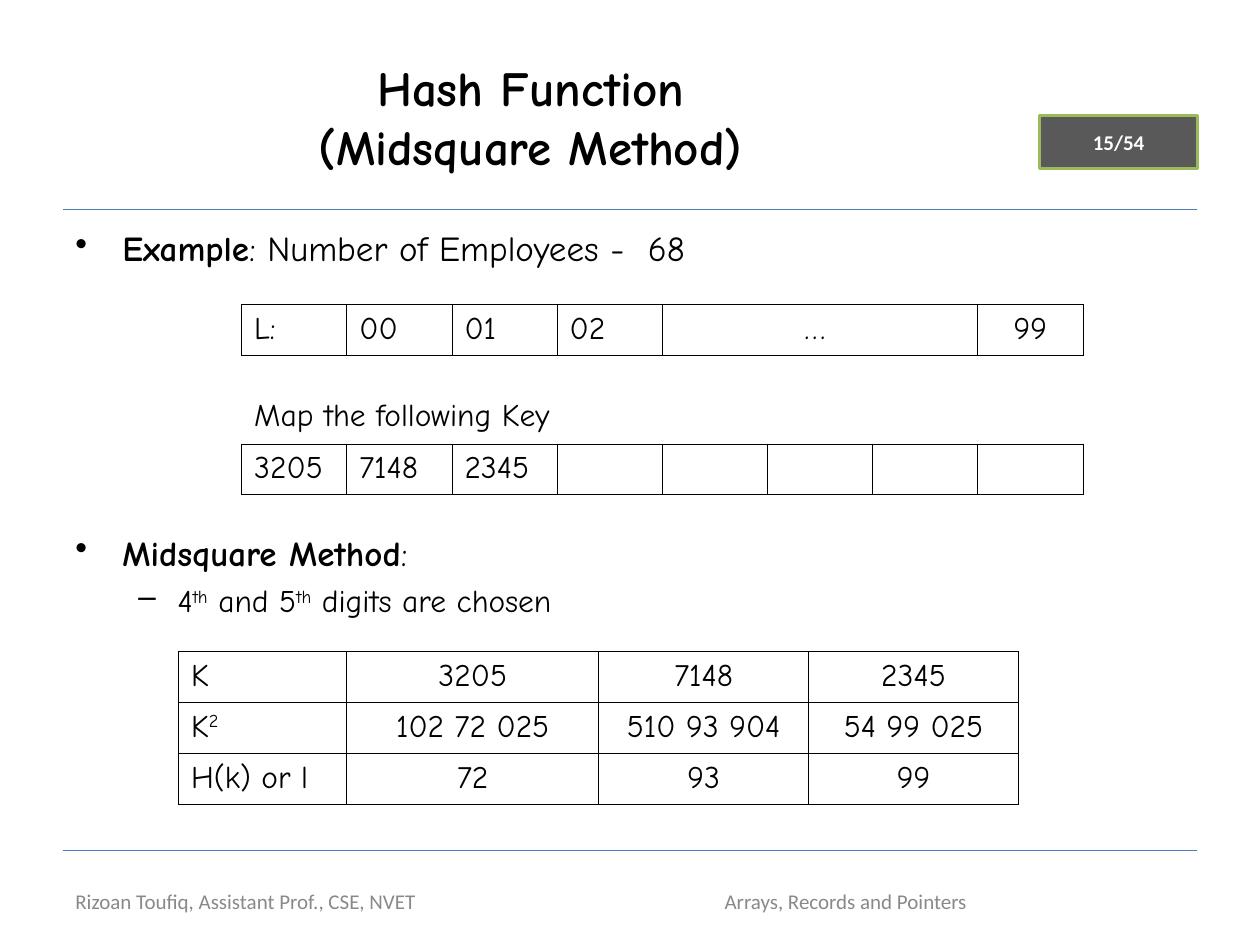
import dataclasses
import typing

import lxml.etree
import pptx
import pptx.dml.color
import pptx.enum.shapes
import pptx.enum.text
import pptx.oxml.ns
import pptx.util

Cm = pptx.util.Cm
Pt = pptx.util.Pt
Align = pptx.enum.text.PP_ALIGN
Anchor = pptx.enum.text.MSO_ANCHOR
qn = pptx.oxml.ns.qn


@dataclasses.dataclass(frozen=True)
class Theme:
    ink: str = "000000"
    paper: str = "FFFFFF"
    grey: str = "898989"
    dark: str = "595959"
    green: str = "9BBB59"
    blue: str = "4A7EBB"
    hand: str = "Comic Neue"
    plain: str = "Calibri"
    head: float = 28
    body: float = 20
    cell: float = 18
    small: float = 12


THEME = Theme()


class Box(typing.NamedTuple):
    left: float
    top: float
    width: float
    height: float

    def sizes(self) -> list:
        return [Cm(side) for side in self]


class Style(typing.NamedTuple):
    size: float
    font: str = THEME.hand
    color: str = THEME.ink
    bold: bool = False


class Bit(typing.NamedTuple):
    text: str
    bold: bool = False
    raised: bool = False


class Point(typing.NamedTuple):
    bits: tuple
    size: float
    mark: str
    indent: float
    hang: float
    before: float
    level: int = 0


class Foot(typing.NamedTuple):
    text: str
    box: Box
    align: typing.Any


class Cell(typing.NamedTuple):
    bits: tuple = ()
    align: typing.Any = Align.CENTER
    span: int = 1
    sides: str = "LRTB"


class Grid(typing.NamedTuple):
    left: float
    top: float
    cols: tuple
    rows: tuple
    cells: tuple


def rgb(code: str):
    return pptx.dml.color.RGBColor.from_string(code)


def write(para, bits: tuple, style: Style) -> None:
    for bit in bits:
        run = para.add_run()
        run.text = bit.text
        font = run.font
        font.name, font.size = style.font, Pt(style.size)
        font.bold = style.bold or bit.bold
        font.color.rgb = rgb(style.color)
        if bit.raised:
            run._r.get_or_add_rPr().set("baseline", "30000")


def rule(slide, top: float) -> None:
    kind = pptx.enum.shapes.MSO_CONNECTOR.STRAIGHT
    line = slide.shapes.add_connector(kind, Cm(1.27), Cm(top), Cm(24.13), Cm(top))
    line.line.color.rgb = rgb(THEME.blue)
    line.line.width = Pt(0.75)
    lxml.etree.SubElement(line._element.spPr, qn("a:effectLst"))


def badge(slide, text: str, box: Box) -> None:
    kind = pptx.enum.shapes.MSO_SHAPE.RECTANGLE
    shape = slide.shapes.add_shape(kind, *box.sizes())
    shape.shadow.inherit = False
    shape.fill.solid()
    shape.fill.fore_color.rgb = rgb(THEME.dark)
    shape.line.color.rgb = rgb(THEME.green)
    shape.line.width = Pt(2)
    frame = shape.text_frame
    frame.vertical_anchor = Anchor.MIDDLE
    para = frame.paragraphs[0]
    para.alignment = Align.CENTER
    write(para, (Bit(text),), Style(THEME.small, THEME.plain, THEME.paper, True))


def title(slide, lines: tuple, box: Box) -> None:
    shape = slide.shapes.title
    shape.left, shape.top, shape.width, shape.height = box.sizes()
    frame = shape.text_frame
    frame.auto_size = pptx.enum.text.MSO_AUTO_SIZE.NONE
    frame.vertical_anchor = Anchor.MIDDLE
    para = frame.paragraphs[0]
    para.alignment = Align.CENTER
    for spot, line in enumerate(lines):
        if spot:
            para.add_line_break()
        write(para, (Bit(line),), Style(THEME.head, bold=True))


def text_frame(slide, box: Box):
    frame = slide.shapes.add_textbox(*box.sizes()).text_frame
    frame.word_wrap = True
    return frame


def bullets(slide, points: tuple, box: Box) -> None:
    frame = text_frame(slide, box)
    for spot, point in enumerate(points):
        para = frame.add_paragraph() if spot else frame.paragraphs[0]
        para.alignment = Align.JUSTIFY
        para.level = point.level
        para.space_before = Pt(point.before)
        props = para._p.get_or_add_pPr()
        props.set("marL", str(Cm(point.indent)))
        props.set("indent", str(-Cm(point.hang)))
        tint = lxml.etree.SubElement(props, qn("a:buClr"))
        lxml.etree.SubElement(tint, qn("a:srgbClr"), val=THEME.ink)
        lxml.etree.SubElement(props, qn("a:buChar"), char=point.mark)
        write(para, point.bits, Style(point.size))


def footer(slide, foot: Foot) -> None:
    frame = text_frame(slide, foot.box)
    frame.vertical_anchor = Anchor.MIDDLE
    para = frame.paragraphs[0]
    para.alignment = foot.align
    write(para, (Bit(foot.text),), Style(THEME.small, THEME.plain, THEME.grey))


def border(cell, sides: str) -> None:
    props = cell._tc.get_or_add_tcPr()
    for side in "LRTB":
        line = lxml.etree.SubElement(props, qn(f"a:ln{side}"), w=str(Pt(0.45)))
        if side in sides:
            fill = lxml.etree.SubElement(line, qn("a:solidFill"))
            lxml.etree.SubElement(fill, qn("a:srgbClr"), val=THEME.ink)
        else:
            lxml.etree.SubElement(line, qn("a:noFill"))
    cell.fill.background()


def table(slide, grid: Grid) -> None:
    box = Box(grid.left, grid.top, sum(grid.cols), sum(grid.rows))
    size = len(grid.rows), len(grid.cols)
    tab = slide.shapes.add_table(*size, *box.sizes()).table
    tab.first_row = tab.horz_banding = False
    for col, width in zip(tab.columns, grid.cols):
        col.width = Cm(width)
    for spot, (height, line) in enumerate(zip(grid.rows, grid.cells)):
        tab.rows[spot].height = Cm(height)
        col = 0
        for item in line:
            last = col + item.span - 1
            for step in range(col, last + 1):
                border(tab.cell(spot, step), item.sides)
            cell = tab.cell(spot, col)
            if item.span > 1:
                cell.merge(tab.cell(spot, last))
            if "L" not in item.sides:
                cell.vertical_anchor = Anchor.BOTTOM
                cell.margin_bottom = Cm(0.2)
            para = cell.text_frame.paragraphs[0]
            para.alignment = item.align
            write(para, item.bits, Style(THEME.cell))
            col = last + 1


def left(*texts: str) -> tuple:
    return tuple(Cell((Bit(text),), Align.LEFT) for text in texts)


def mid(*texts: str) -> tuple:
    return tuple(Cell((Bit(text),)) for text in texts)


def main() -> None:
    """Build the midsquare hashing slide."""
    deck = pptx.Presentation()
    deck.slide_width, deck.slide_height = Cm(25.4), Cm(19.05)
    slide = deck.slides.add_slide(deck.slide_layouts[5])
    for top in (4.23, 17.14):
        rule(slide, top)
    badge(slide, "15/54", Box(20.96, 2.33, 3.18, 1.07))
    title(slide, ("Hash Function", "(Midsquare Method)"), Box(1.27, 0.76, 18.85, 3.18))
    chosen = (Bit("4"), Bit("th", raised=True), Bit(" and 5"),
              Bit("th", raised=True), Bit(" digits are chosen"))
    bullets(slide, (
        Point((Bit("Example", True), Bit(": Number of Employees -  68")), THEME.body, "•", 0.95, 0.95, 5),
        Point((Bit("Midsquare Method", True), Bit(": ")), THEME.body, "•", 0.95, 0.95, 150),
        Point(chosen, THEME.cell, "–", 2.06, 0.79, 4.5, 1),
    ), Box(1.27, 4.45, 22.86, 12.57))
    for foot in (
        Foot("Rizoan Toufiq, Assistant Prof., CSE, NVET", Box(1.27, 17.65, 11.23, 1.02), Align.LEFT),
        Foot("Arrays, Records and Pointers", Box(13.34, 17.65, 7.42, 1.02), Align.CENTER),
    ):
        footer(slide, foot)
    caption = Cell((Bit("Map the following Key"),), Align.LEFT, 8, "TB")
    keys = ("3205", "7148", "2345")
    square = Cell((Bit("K"), Bit("2", raised=True)), Align.LEFT)
    table(slide, Grid(4.87, 6.14, (2.12,) * 8, (1.02, 1.79, 1.02), (
        left("L:", "00", "01", "02") + (Cell((Bit("… "),), span=3),) + mid("99"),
        (caption,),
        left(*keys) + (Cell(),) * 5,
    )))
    table(slide, Grid(3.6, 13.13, (3.39, 5.08, 4.23, 4.23), (1.03,) * 3, (
        left("K") + mid(*keys),
        (square,) + mid("102 72 025", "510 93 904", "54 99 025"),
        left("H(k) or l") + mid("72", "93", "99"),
    )))
    deck.save("out.pptx")


if __name__ == "__main__":
    main()
